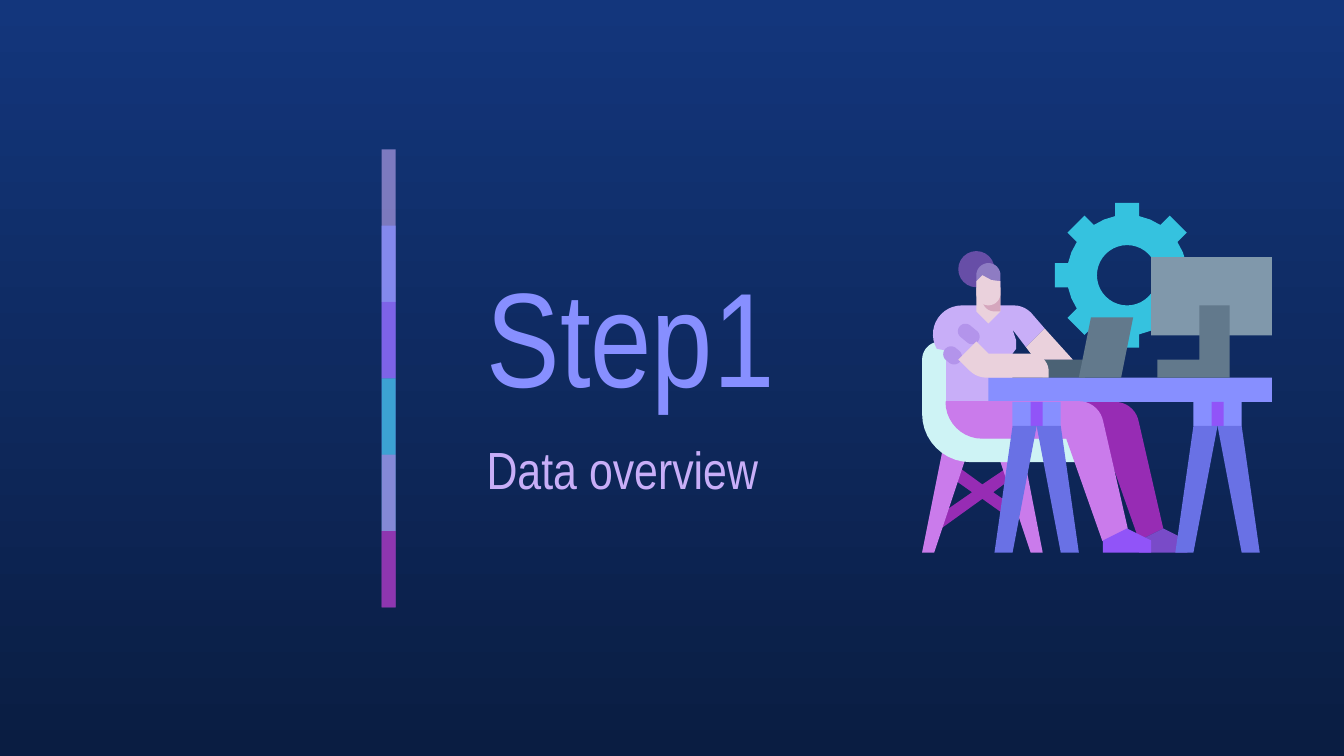
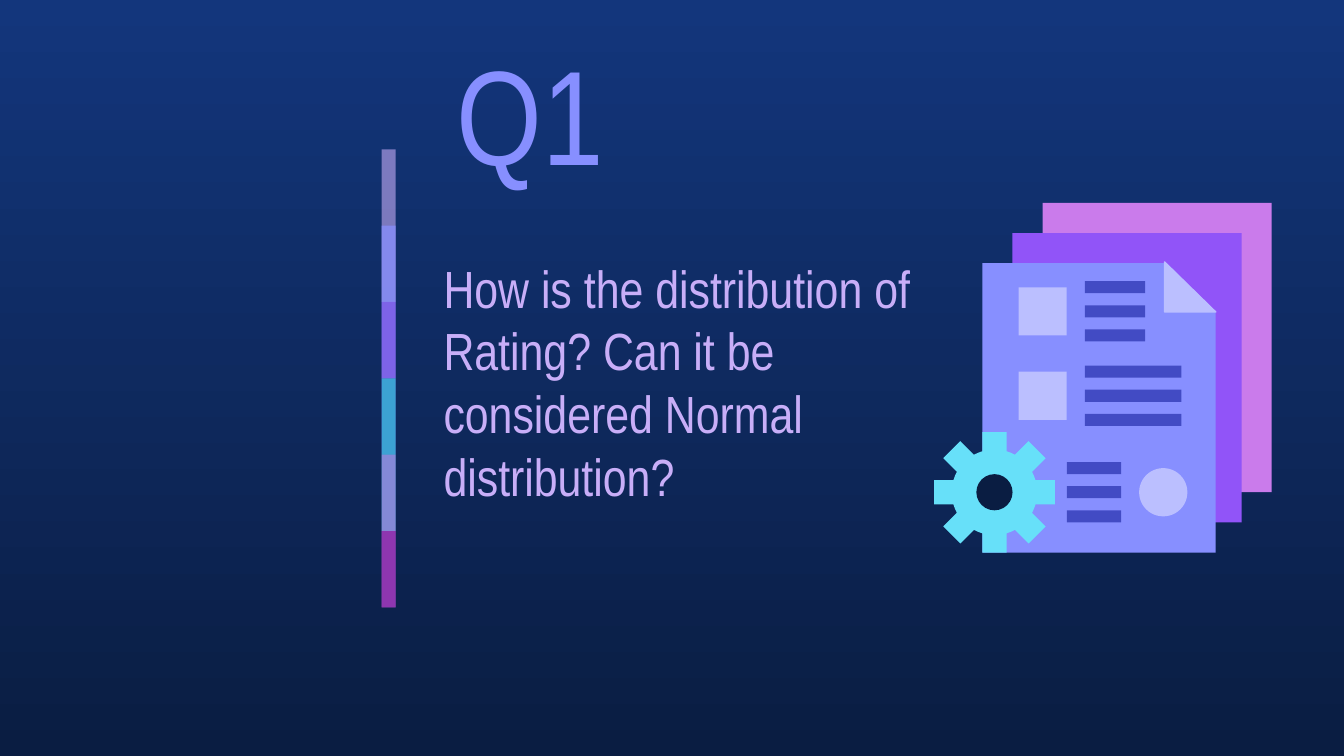
from math import asin, cos, degrees, radians, sin

from lxml import etree
from pptx import Presentation
from pptx.dml.color import RGBColor
from pptx.enum.shapes import MSO_SHAPE as Preset
from pptx.enum.text import MSO_ANCHOR as Anchor
from pptx.enum.text import MSO_AUTO_SIZE as AutoSize
from pptx.enum.text import PP_ALIGN as Align
from pptx.oxml.ns import qn
from pptx.util import Pt

# Shared look
FONT = "Arial Narrow"
SKY, NIGHT = "13367C", "0A1D42"
PERIWINKLE, LAVENDER, VIOLET = "878FFF", "C8AEF8", "9154F8"
ORCHID, PLUM, TEAL = "CA7BEB", "972CB4", "35C2DF"
PALE, INK, AQUA = "BBBFFF", "424BC4", "67E0F9"
SKIN, SLATE, CREASE, INDIGO = "EAD1DC", "62798C", "B394EB", "6971E5"
BAR = [(LAVENDER, 59), (PERIWINKLE, 74), (VIOLET, 53),
       (TEAL, 76), (ORCHID, 56), (PLUM, 74)]

# Illustrations sit on a grid of 58 x 58 cells
GRID_LEFT, GRID_TOP, CELL = 494, 108.7, 3.23


def grid_point(x, y):
    return Pt(GRID_LEFT + CELL * x), Pt(GRID_TOP + CELL * y)


def rgb(color):
    return RGBColor.from_string(color)


def paint(shape, color, alpha=None, line=None):
    shape.shadow.inherit = False
    shape.fill.solid()
    shape.fill.fore_color.rgb = rgb(color)
    if alpha is not None:
        value = shape.fill._xPr.find(".//" + qn("a:srgbClr"))
        etree.SubElement(value, qn("a:alpha")).set("val", str(alpha * 1000))
    if line:
        shape.line.color.rgb = rgb(line)
        shape.line.width = Pt(0.75)
    else:
        shape.line.fill.background()


def write(shape, text, *, box, size, color, bottom=7.2):
    """Place a text placeholder and format its single paragraph."""
    shape.left, shape.top, shape.width, shape.height = map(Pt, box)
    frame = shape.text_frame
    frame.word_wrap = True
    frame.auto_size = AutoSize.NONE
    frame.vertical_anchor = Anchor.MIDDLE
    frame.margin_left = frame.margin_right = frame.margin_top = Pt(7.2)
    frame.margin_bottom = Pt(bottom)
    paragraph = frame.paragraphs[0]
    paragraph.alignment = Align.LEFT
    paragraph.space_before = Pt(0)
    run = paragraph.add_run()
    run.text = text
    run.font.name = FONT
    run.font.size = Pt(size)
    run.font.color.rgb = rgb(color)


# Drawing on the grid
def block(shapes, x, y, width, height, color, preset=Preset.RECTANGLE):
    shape = shapes.add_shape(preset, *grid_point(x, y),
                             Pt(CELL * width), Pt(CELL * height))
    paint(shape, color)


def disc(shapes, x, y, radius, color):
    block(shapes, x - radius, y - radius, 2 * radius, 2 * radius, color, Preset.OVAL)


def outline(shapes, color, *contours, line=None):
    """Fill one shape from closed contours; a second contour cuts a hole."""
    builder = None
    for contour in contours:
        first, *rest = [grid_point(x, y) for x, y in contour]
        if builder is None:
            builder = shapes.build_freeform(*first)
        else:
            builder.move_to(*first)
        builder.add_line_segments(rest, close=True)
    paint(builder.convert_to_shape(), color, line=line)


def arc(x, y, radius, start, end):
    """Points of an arc; angles in degrees, clockwise from the right."""
    steps = max(2, round(abs(end - start) / 9))
    angles = [radians(start + (end - start) * i / steps) for i in range(steps + 1)]
    return [(x + radius * cos(a), y + radius * sin(a)) for a in angles]


def shift(points, dx):
    return [(x + dx, y) for x, y in points]


def gear(shapes, x, y, outer, hub, color, hole=None):
    """Eight square teeth, four cells wide, around a hub."""
    half = degrees(asin(2 / hub))
    rim = []
    for angle in range(0, 360, 45):
        c, s = cos(radians(angle)), sin(radians(angle))
        rim += [(x + outer * c - side * s, y + outer * s + side * c)
                for side in (-2, 2)]
        rim += arc(x, y, hub, angle + half, angle + 45 - half)
    holes = [arc(x, y, hole, 360, 0)] if hole else []
    outline(shapes, color, rim, *holes)


def crease(shapes, start, end, radius):
    outline(shapes, CREASE, arc(*start, radius, 135, 315) + arc(*end, radius, -45, 135))


def leg_and_shoe(shapes, dx, leg_color, shoe_color):
    leg = (arc(10, 33, 6, 180, 90) + [(24, 39), (30, 56), (34, 54)]
           + arc(26, 37, 4, -10, -90))
    shoe = [(34, 54), (30, 56), (30, 58), (38, 58), (38, 56)]
    outline(shapes, leg_color, shift(leg, dx), line=leg_color if dx == 0 else None)
    outline(shapes, shoe_color, shift(shoe, dx))


def trestle(shapes, x):
    block(shapes, x, 33, 8, 4, PERIWINKLE)
    block(shapes, x + 3, 33, 2, 4, VIOLET)
    left = [(0, 37), (-3, 58), (0, 58), (4, 37)]
    right = [(8 - px, py) for px, py in left]
    for leg in (left, right):
        outline(shapes, INDIGO, shift(leg, x))


def chair(shapes):
    outline(shapes, PLUM, [
        (5.6, 43.5), (4.5, 45.3), (8.3, 48), (1.8, 52.5), (2.9, 54.2), (10, 49.1),
        (13.8, 51.8), (15, 50.2), (11.8, 48), (15.4, 45.3), (14.3, 43.8), (10, 46.7)])
    outline(shapes, ORCHID, [(12, 40), (18, 58), (20, 58), (16.5, 40)])
    outline(shapes, ORCHID, [(3.6, 40), (0, 58), (2, 58), (8, 40)])
    outline(shapes, "CEF3F5", arc(3, 26, 3, 270, 180) + arc(8, 35, 8, 180, 90)
            + [(27, 43), (27, 38)] + arc(10, 33, 5, 90, 180) + [(5, 23)])


def head(shapes):
    outline(shapes, "D5A6BD", [(10, 14)] + arc(12, 16, 2, 180, 90) + [(13, 18), (13, 14)])
    disc(shapes, 9, 11, 3, "674EA7")
    outline(shapes, "8E7CC3", [(9, 14)] + arc(11, 12, 2, 180, 360) + [(13, 14)])
    outline(shapes, SKIN, [(10, 12), (9, 13)] + arc(11, 15, 2, 180, 0)
            + [(13, 13), (11.5, 12.8)])


def draw_desk_scene(shapes):
    gear(shapes, 34, 12, 12, 10, TEAL, hole=5)
    block(shapes, 20, 26, 7, 3, "4B6275")
    chair(shapes)
    leg_and_shoe(shapes, 6, PLUM, "794BC8")
    # Far arm and shirt
    outline(shapes, SKIN, [(17.2, 23.9), (18.8, 26), (25, 26), (20.3, 20.8)])
    outline(shapes, LAVENDER, arc(6.6, 21.8, 4.8, 270, 150)
            + [(4, 24.5), (4, 33), (15, 33), (15, 25), (15.6, 24.2), (15.6, 22.8),
               (15, 21), (17.2, 23.9), (20.3, 20.8)] + arc(15.2, 21, 4, 315, 270))
    block(shapes, 11, 29, 47, 4, PERIWINKLE)
    crease(shapes, (4.8, 25.1), (5.3, 25.5), 1.3)
    crease(shapes, (7.2, 21.3), (8.3, 22.2), 1.25)
    # Neck, near arm and laptop
    outline(shapes, SKIN, [(9, 14), (9, 18), (11, 20), (13, 18), (13, 14)])
    outline(shapes, SKIN, [(9, 23), (6, 26)] + arc(10.7, 25, 4, 135, 90)
            + [(21, 29)] + arc(18, 28, 3, 0, -90) + [(11, 25)])
    outline(shapes, SLATE, [(28, 19), (26, 29), (33, 29), (35, 19)])
    leg_and_shoe(shapes, 0, ORCHID, VIOLET)
    # Monitor and table legs
    block(shapes, 38, 9, 20, 13, "8098AB")
    outline(shapes, SLATE, [(46, 17), (46, 26), (39, 26), (39, 29), (51, 29), (51, 17)])
    for x in (45, 15):
        trestle(shapes, x)
    head(shapes)


def draw_documents(shapes):
    # Three stacked pages
    block(shapes, 20, 0, 38, 48, ORCHID)
    block(shapes, 15, 5, 38, 48, VIOLET)
    outline(shapes, PERIWINKLE,
            [(10, 10), (10, 58), (48.7, 58), (48.7, 18.2), (40.6, 10)])
    gear(shapes, 12, 48, 10, 7.1, AQUA)
    disc(shapes, 12, 48, 3, NIGHT)
    # Page content
    for y in (14, 28):
        block(shapes, 16, y, 8, 8, PALE)
    disc(shapes, 40, 48, 4, PALE)
    for x, top, width in ((27, 13, 10), (27, 27, 16), (24, 43, 9)):
        for row in range(3):
            block(shapes, x, top + 4 * row, width, 2, INK)
    outline(shapes, PALE, [(40.2, 9.8), (40.2, 18.1), (48.7, 18.1)], line=PALE)


# Slides
def set_background(master):
    fill = master.background.fill
    fill.gradient()
    fill.gradient_angle = 270
    for stop, color in zip(fill.gradient_stops, (SKY, NIGHT)):
        stop.color.rgb = rgb(color)


def draw_bar(shapes):
    pitch = 40.9
    for i, (color, alpha) in enumerate(BAR):
        height = pitch if i == len(BAR) - 1 else 2 * pitch
        shape = shapes.add_shape(Preset.RECTANGLE, Pt(204.5), Pt(80 + pitch * i),
                                 Pt(7.5), Pt(height))
        paint(shape, color, alpha)


def add_section(presentation, title, title_box, text, text_box, draw, bottom=7.2):
    slide = presentation.slides.add_slide(presentation.slide_layouts[0])
    draw_bar(slide.shapes.add_group_shape().shapes)
    write(slide.shapes.title, title, box=title_box, size=72, color=PERIWINKLE)
    write(slide.placeholders[1], text, box=text_box, size=28, color=LAVENDER,
          bottom=bottom)
    draw(slide.shapes.add_group_shape().shapes)


def main():
    presentation = Presentation()
    presentation.slide_width, presentation.slide_height = Pt(720), Pt(405)
    set_background(presentation.slide_master)
    add_section(presentation, "Step1", (253.5, 130.3, 176.5, 96.5),
                "Data overview", (253.5, 226.8, 206.6, 48.2), draw_desk_scene)
    add_section(presentation, "Q1", (237.6, 11.5, 126, 97.2),
                "How is the distribution of Rating? Can it be considered "
                "Normal distribution?", (230.4, 137.5, 269.3, 166.3),
                draw_documents, bottom=40)
    presentation.save("out.pptx")


if __name__ == "__main__":
    main()
